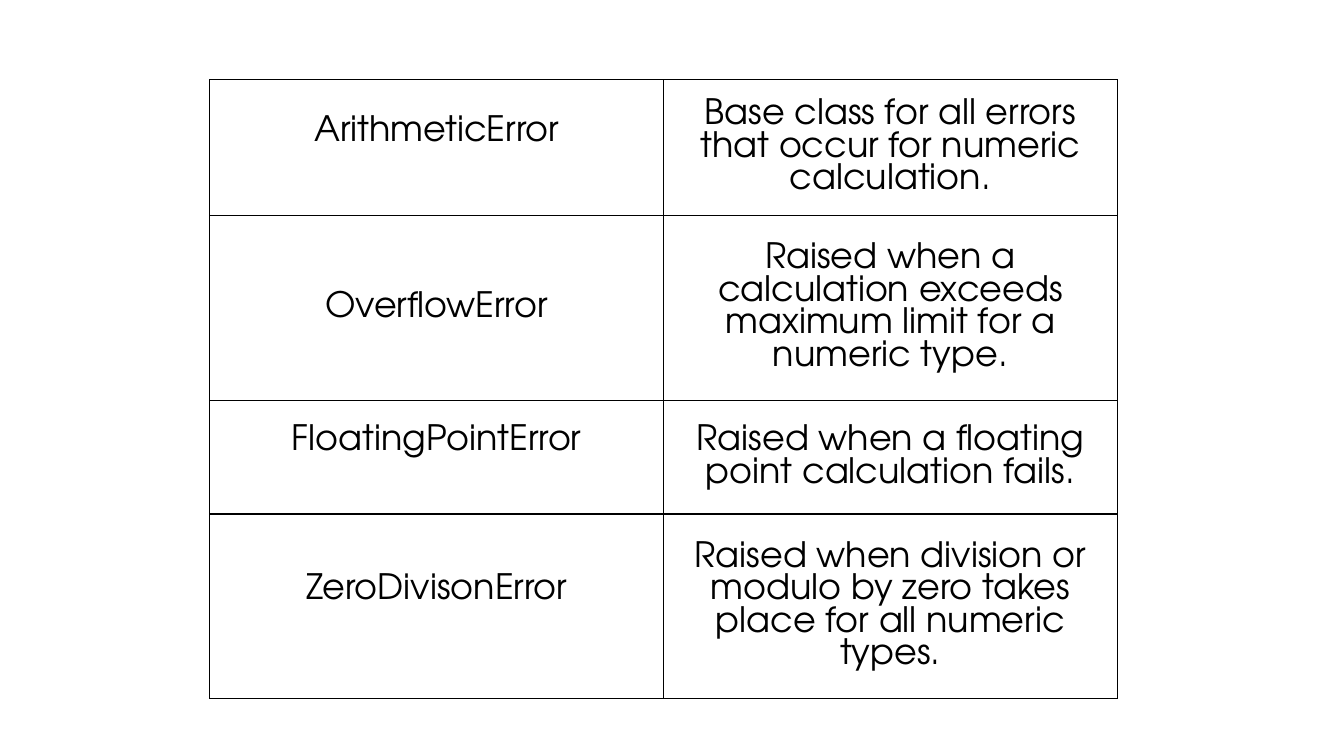
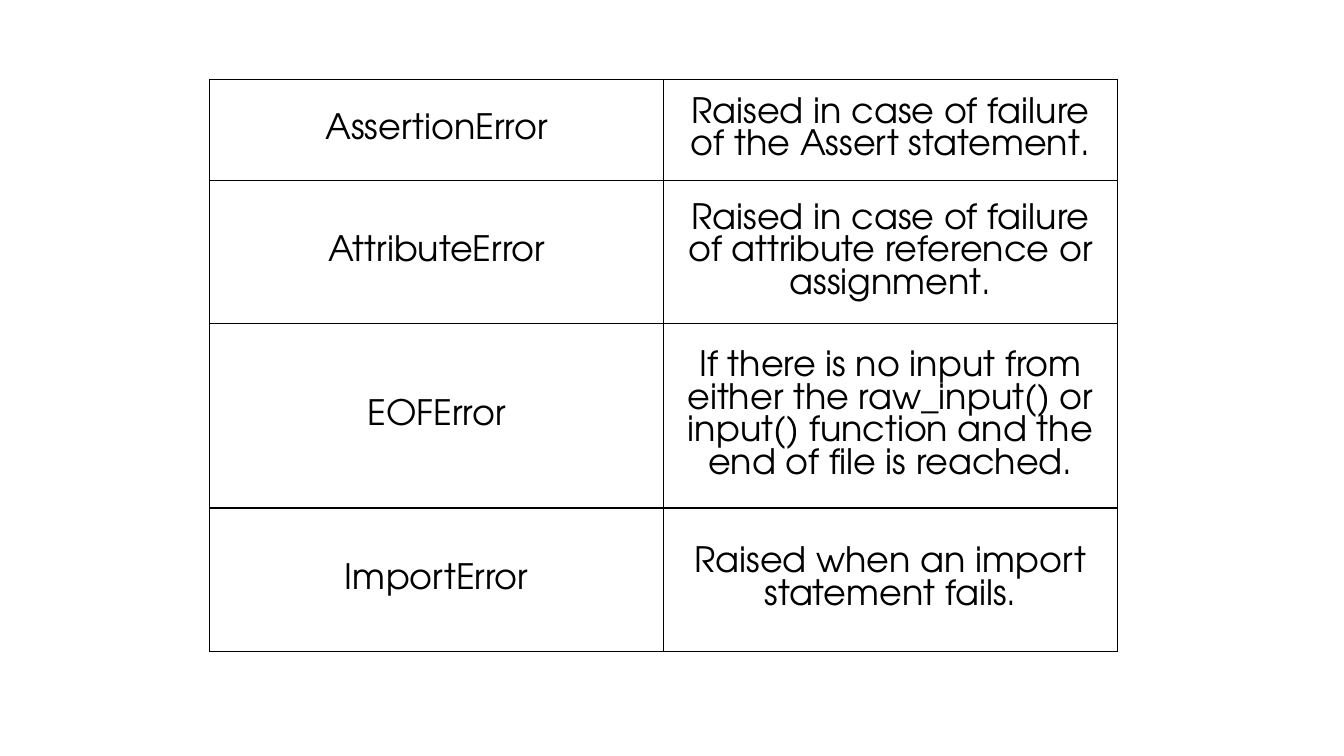
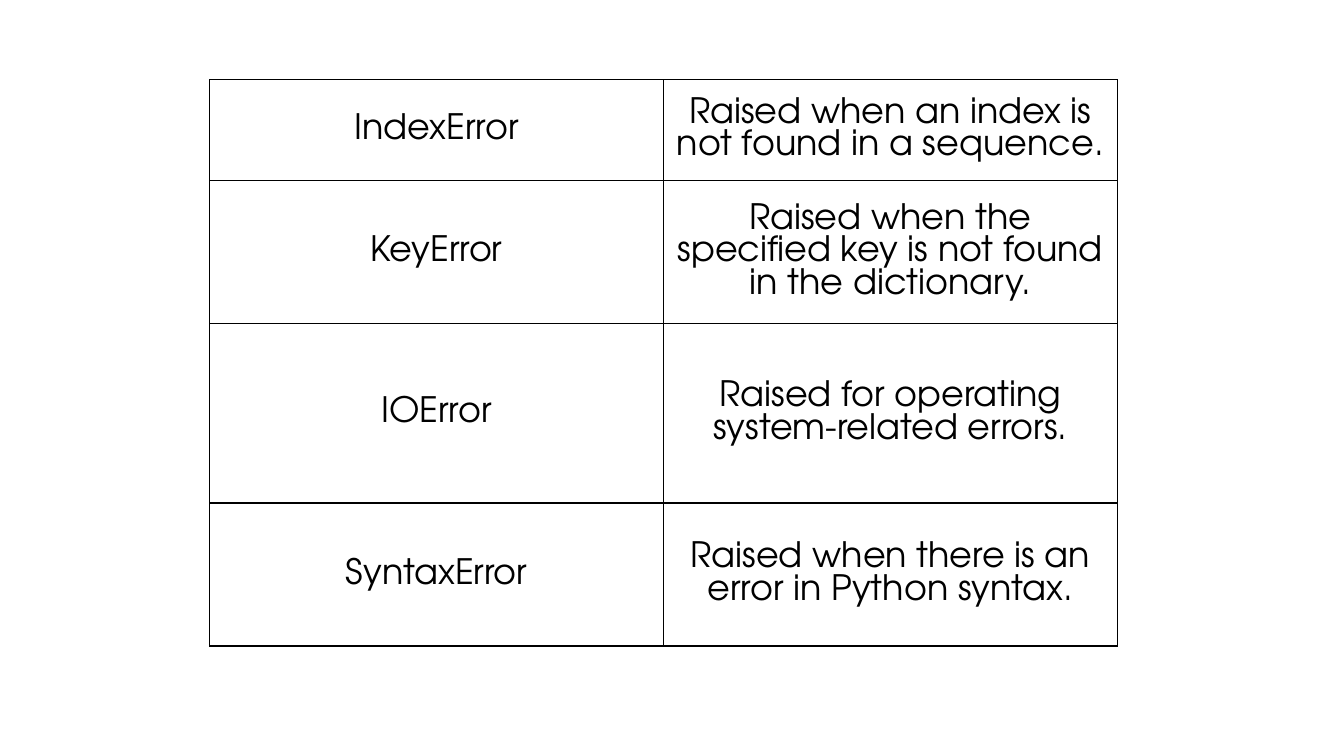
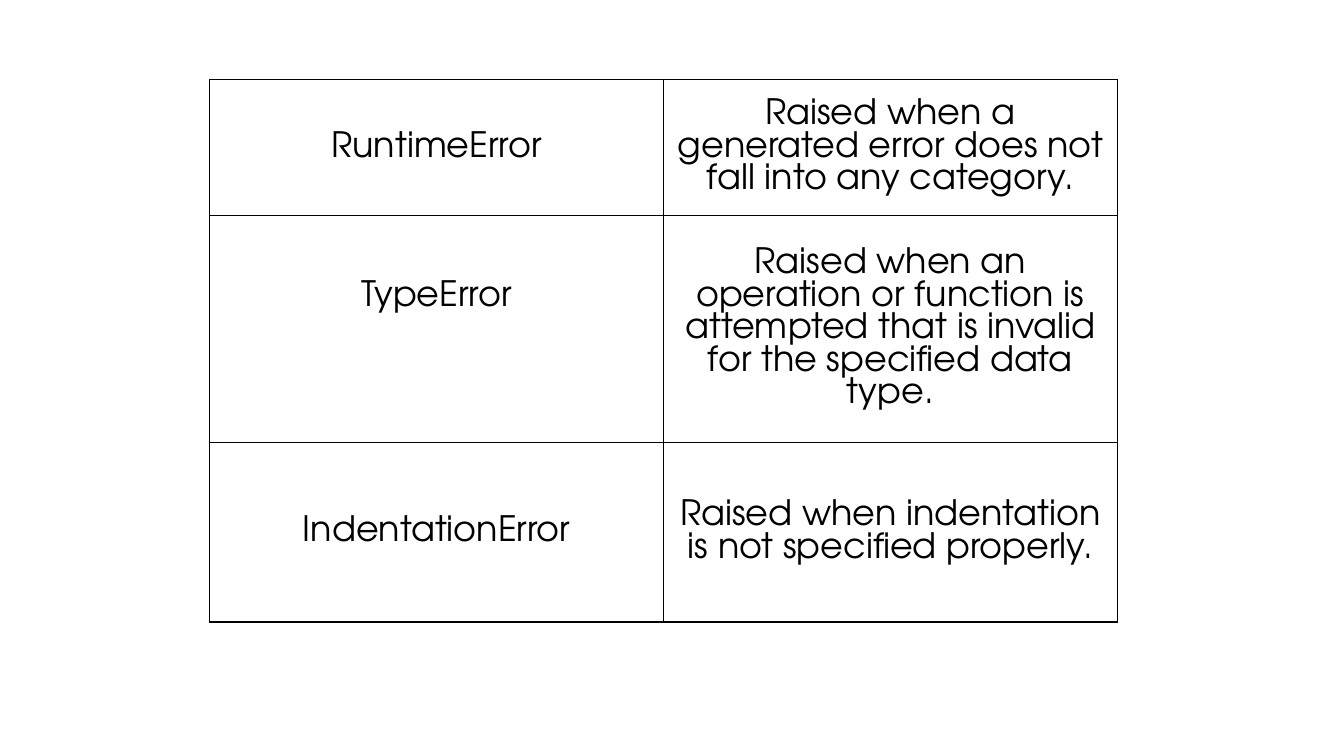
from pptx import Presentation
from pptx.dml.color import RGBColor
from pptx.enum import text as t
from pptx.oxml import parse_xml
from pptx.oxml.ns import nsdecls
from pptx.util import Inches, Pt

COLORS = {"ink": "000000", "paper": "FFFFFF"}
FONT = "TeX Gyre Adventor"
LINE_HEIGHT = 0.32
TABLE_BOX = (2.08, 0.79, 9)  # left, top, width
BORDER_WIDTH = Pt(1)

# Each row: exception, meaning, row height, lines of space kept below the exception
ERROR_TABLES = [
    [
        ("ArithmeticError",
         "Base class for all errors that occur for numeric calculation.", 1.35, 1),
        ("OverflowError",
         "Raised when a calculation exceeds maximum limit for a numeric type.", 1.83, 0),
        ("FloatingPointError",
         "Raised when a floating point calculation fails.", 1.13, 1),
        ("ZeroDivisonError",
         "Raised when division or modulo by zero takes place for all numeric types.", 1.83, 1),
    ],
    [
        ("AssertionError",
         "Raised in case of failure of the Assert statement.", 1, 0),
        ("AttributeError",
         "Raised in case of failure of attribute reference or assignment.", 1.42, 0),
        ("EOFError",
         "If there is no input from either the raw_input() or input() function "
         "and the end of file is reached.", 1.83, 0),
        ("ImportError", "Raised when an import statement fails.", 1.42, 0),
    ],
    [
        ("IndexError", "Raised when an index is not found in a sequence.", 1, 0),
        ("KeyError",
         "Raised when the specified key is not found in the dictionary.", 1.42, 0),
        ("IOError", "Raised for operating system-related errors.", 1.78, 0),
        ("SyntaxError", "Raised when there is an error in Python syntax.", 1.42, 0),
    ],
    [
        ("RuntimeError",
         "Raised when a generated error does not fall into any category.", 1.35, 0),
        ("TypeError",
         "Raised when an operation or function is attempted that is invalid "
         "for the specified data type.", 2.25, 2),
        ("IndentationError",
         "Raised when indentation is not specified properly.", 1.78, 0),
    ],
]


def write(frame, content, size=25, color="ink", align=t.PP_ALIGN.CENTER):
    """Put formatted text in the first paragraph of a text frame."""
    paragraph = frame.paragraphs[0]
    paragraph.alignment = align
    run = paragraph.add_run()
    run.text = content
    run.font.name = FONT
    run.font.size = Pt(size)
    run.font.color.rgb = RGBColor.from_string(COLORS[color])


def outline(cell):
    """Draw all four borders of a cell, ahead of its fill."""
    properties = cell._tc.get_or_add_tcPr()
    for position, side in enumerate(("lnL", "lnR", "lnT", "lnB")):
        properties.insert(position, parse_xml(
            f'<a:{side} {nsdecls("a")} w="{BORDER_WIDTH}"><a:solidFill>'
            f'<a:srgbClr val="{COLORS["ink"]}"/></a:solidFill></a:{side}>'))


def fill_cell(cell, content, inset, lines_below=0):
    """Format one cell and write its text, raised by the space kept below it."""
    cell.fill.solid()
    cell.fill.fore_color.rgb = RGBColor.from_string(COLORS["paper"])
    outline(cell)
    cell.vertical_anchor = t.MSO_ANCHOR.MIDDLE
    side, edge = inset
    cell.margin_left = cell.margin_right = Inches(side)
    cell.margin_top = Inches(edge)
    cell.margin_bottom = Inches(edge + lines_below * LINE_HEIGHT)
    write(cell.text_frame, content)


def error_table(slide, box, errors):
    """Place a two-column table of exceptions and their meanings in a box."""
    left, top, width = box
    height = sum(row_height for _, _, row_height, _ in errors)
    table = slide.shapes.add_table(
        len(errors), 2, Inches(left), Inches(top), Inches(width), Inches(height)).table
    table.first_row = table.horz_banding = False
    for column in table.columns:
        column.width = Inches(width / 2)
    for index, (exception, meaning, row_height, lines_below) in enumerate(errors):
        table.rows[index].height = Inches(row_height)
        fill_cell(table.cell(index, 0), exception, (0.08, 0.08), lines_below)
        meaning_inset = (0.1, 0.05) if index == 0 else (0.08, 0.08)
        fill_cell(table.cell(index, 1), meaning, meaning_inset)


def build():
    """Build one slide for each table of exceptions."""
    deck = Presentation()
    deck.slide_width, deck.slide_height = Inches(13.33), Inches(7.5)
    blank = deck.slide_layouts[6]
    for errors in ERROR_TABLES:
        error_table(deck.slides.add_slide(blank), TABLE_BOX, errors)
    deck.save("out.pptx")


build()
